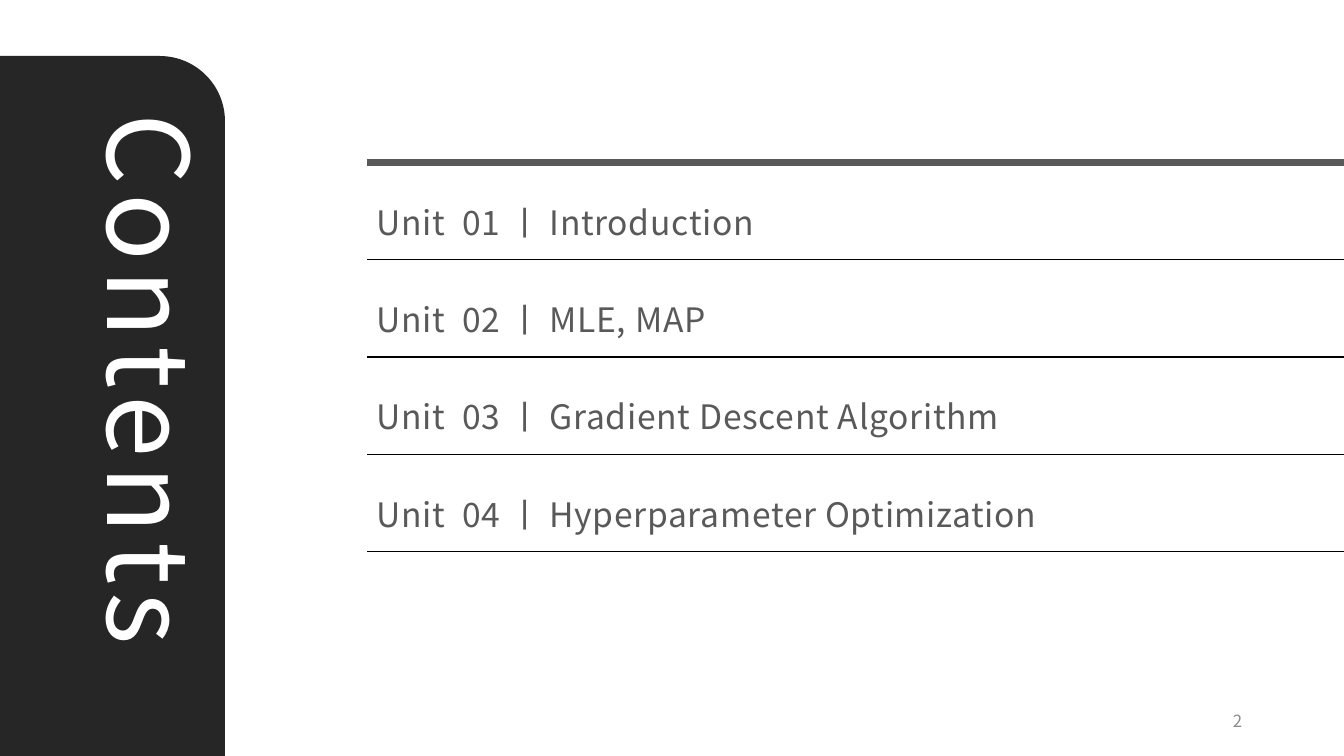
from dataclasses import dataclass

from lxml import etree
from pptx import Presentation
from pptx.dml.color import RGBColor
from pptx.enum import shapes, text
from pptx.oxml import ns
from pptx.util import Pt


@dataclass(frozen=True)
class Theme:
    font: str = "Noto Sans CJK KR"
    panel: str = "262626"
    title: str = "FFFFFF"
    body: str = "595959"
    rule: str = "000000"
    number: str = "8C8C8C"
    title_size: int = 80
    body_size: int = 24
    number_size: int = 12


THEME = Theme()
UNITS = ["Introduction", "MLE, MAP", "Gradient Descent Algorithm",
         "Hyperparameter Optimization"]


def write(shape, words, size, color, spacing=0, align=text.PP_ALIGN.LEFT,
          anchor=text.MSO_ANCHOR.MIDDLE):
    """Fill a shape with one styled run; spacing is in points between letters."""
    tf = shape.text_frame
    frame = {"word_wrap": True, "auto_size": text.MSO_AUTO_SIZE.NONE,
             "vertical_anchor": anchor}
    for name, value in frame.items():
        setattr(tf, name, value)
    p = tf.paragraphs[0]
    p.alignment = align
    r = p.add_run()
    r.text = words
    for name, value in {"size": Pt(size), "name": THEME.font}.items():
        setattr(r.font, name, value)
    r.font.color.rgb = RGBColor.from_string(color)
    r_pr = r.font.fill and r.text and p.runs[0].font.color and tf.paragraphs[0].runs[0]
    props = r_pr._r.get_or_add_rPr()
    props.set("spc", str(int(spacing * 100)))
    etree.SubElement(props, ns.qn("a:ea")).set("typeface", THEME.font)


def add_rule(group, left, right, y, color, width):
    line = group.shapes.add_connector(
        shapes.MSO_CONNECTOR.STRAIGHT, Pt(left), Pt(y), Pt(right), Pt(y))
    line.line.color.rgb = RGBColor.from_string(color)
    line.line.width = Pt(width)
    etree.SubElement(line.element.spPr, ns.qn("a:effectLst"))


def add_title_panel(s, left, top, width, height):
    """Dark panel with the slide title turned to read downwards."""
    panel = s.shapes.add_shape(shapes.MSO_SHAPE.ROUND_1_RECTANGLE,
                               Pt(left), Pt(top), Pt(width), Pt(height))
    panel.adjustments[0] = 0.29
    panel.shadow.inherit = False
    panel.fill.solid()
    panel.fill.fore_color.rgb = RGBColor.from_string(THEME.panel)
    panel.line.fill.background()

    title = s.shapes.title
    title.element.addprevious(panel.element)
    length, depth = 501.8, 104.4
    center_x, center_y = left + 108.4, top + 284.8
    box = {"left": center_x - length / 2, "top": center_y - depth / 2,
           "width": length, "height": depth}
    for name, value in box.items():
        setattr(title, name, Pt(value))
    title.rotation = 90
    write(title, "Contents", THEME.title_size, THEME.title, spacing=6,
          anchor=text.MSO_ANCHOR.TOP)


def add_unit_list(s, left, top, width, height):
    """Heavy top rule, then one row per unit closed by a thin rule."""
    group = s.shapes.add_group_shape()
    right = left + width
    pitch = height / len(UNITS)
    add_rule(group, left, right, top, THEME.body, 5)
    for i, unit in enumerate(UNITS):
        y = top + i * pitch
        row = group.shapes.add_textbox(Pt(left), Pt(y + 14.8),
                                       Pt(width - 18.7), Pt(55.4))
        write(row, f"Unit  {i + 1:02} ㅣ {unit}", THEME.body_size, THEME.body,
              spacing=0.5)
        add_rule(group, left, right, y + pitch, THEME.rule, 1)


def add_page_number(s, left, top, width, height):
    box = s.shapes.add_textbox(Pt(left), Pt(top), Pt(width), Pt(height))
    write(box, "2", THEME.number_size, THEME.number, align=text.PP_ALIGN.RIGHT)


def main():
    prs = Presentation()
    prs.slide_width, prs.slide_height = Pt(960), Pt(540)
    s = prs.slides.add_slide(prs.slide_layouts[5])
    add_title_panel(s, 0, 40, 160.7, 500)
    add_unit_list(s, 262, 116, 698, 278)
    add_page_number(s, 678.4, 500.5, 216, 28.8)
    prs.save("out.pptx")


if __name__ == "__main__":
    main()
